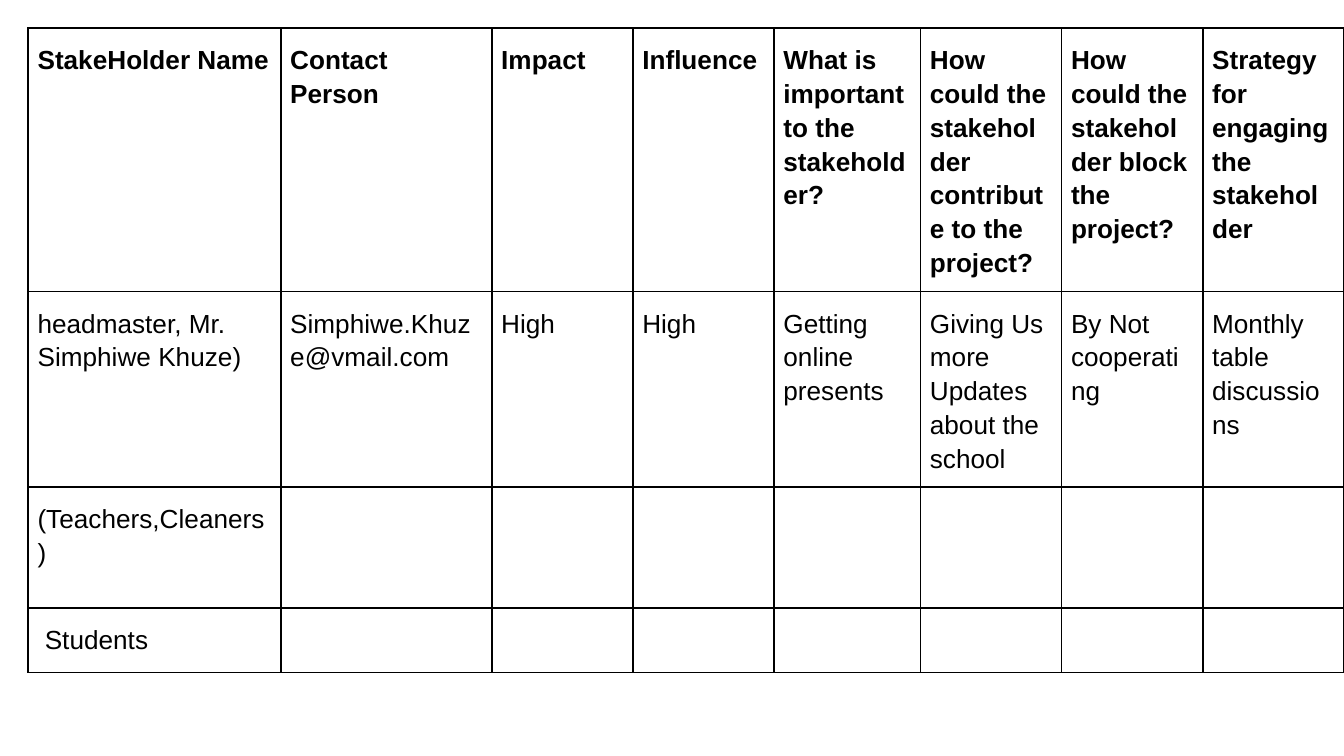
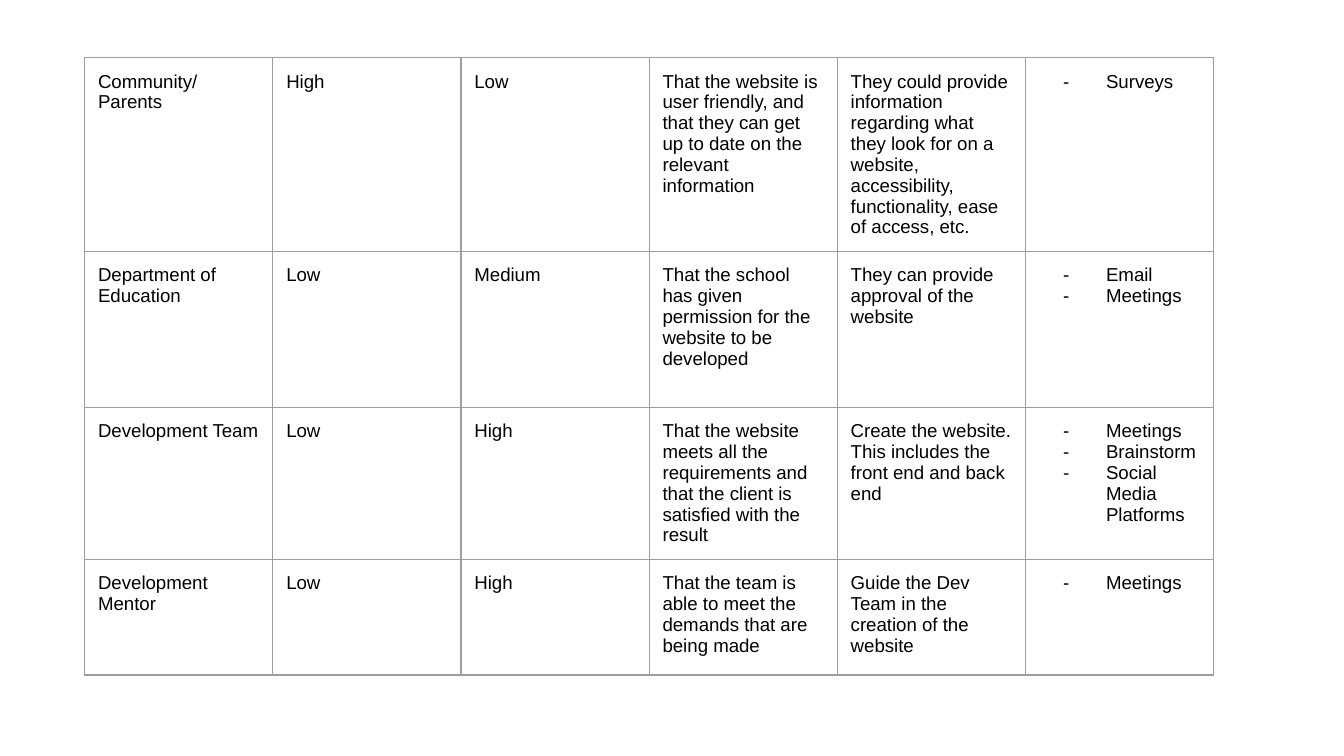
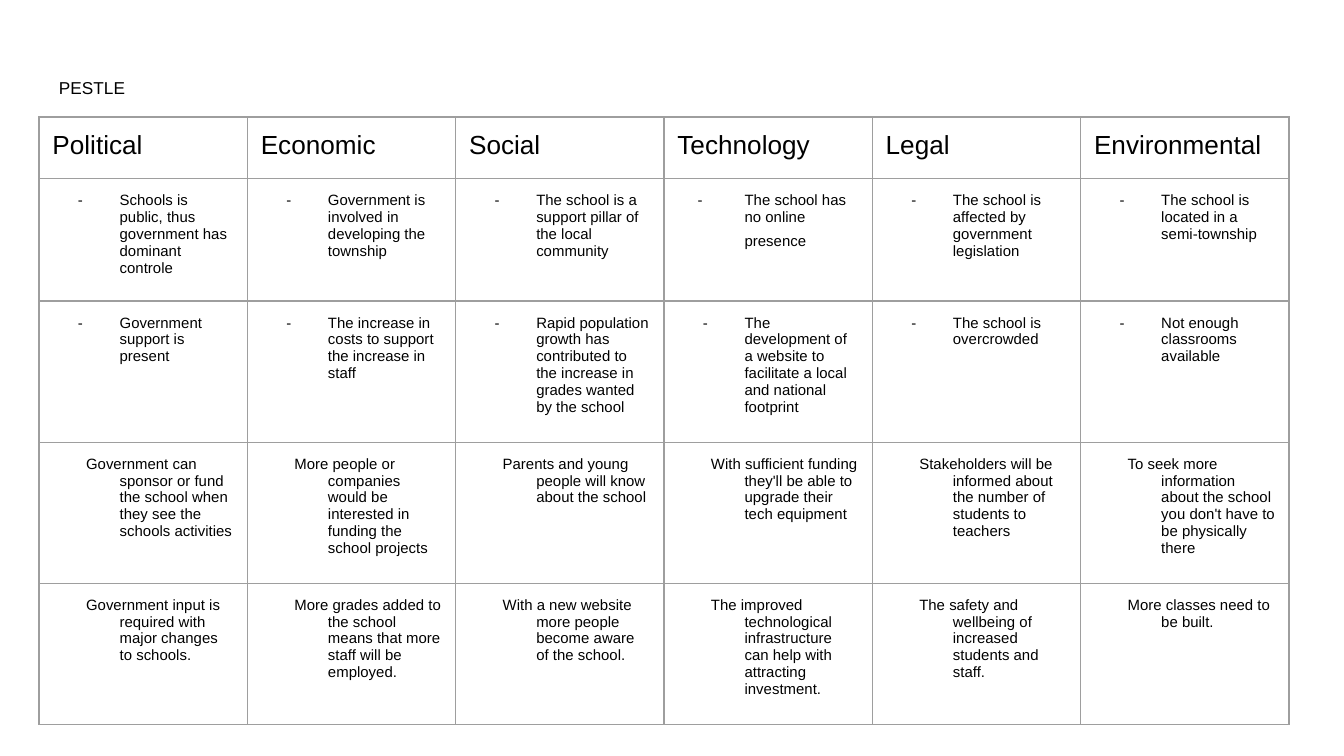
from dataclasses import dataclass
from typing import Callable, Optional

from lxml.etree import SubElement
from pptx import Presentation
from pptx.dml.color import RGBColor
from pptx.oxml.ns import qn
from pptx.table import Table, _Cell
from pptx.util import Inches, Pt

# Shared look
BLACK = RGBColor(0x00, 0x00, 0x00)
GREY = RGBColor(0x9E, 0x9E, 0x9E)
FONT = "Arial"
MARGIN = 0.1
BORDER_SIDES = ("a:lnL", "a:lnR", "a:lnT", "a:lnB")


@dataclass(frozen=True)
class TextStyle:
    size: float
    bold: bool = False
    line_spacing: Optional[float] = None
    space_before: Optional[float] = None
    hanging: float = 0
    bullet: str = ""


@dataclass(frozen=True)
class TableSpec:
    left: float
    top: float
    columns: list[float]
    rows: list[float]
    texts: list[list[str]]
    style_at: Callable[[int, int], TextStyle]
    border_color: RGBColor = GREY
    border_width: float = 0.75
    margin_left: float = MARGIN
    margin_right: float = MARGIN


REGISTER_HEAD = TextStyle(14, bold=True, line_spacing=1.15, space_before=12)
REGISTER_BODY = TextStyle(14, line_spacing=1.15, space_before=12)
PLAIN = TextStyle(10)
STRATEGY = TextStyle(10, hanging=0.32, bullet="-")
PESTLE_TITLE = TextStyle(9.2)
PESTLE_HEAD = TextStyle(14)
PESTLE_BULLET = TextStyle(8, hanging=0.31, bullet="-")
PESTLE_WIDE_BULLET = TextStyle(8, hanging=0.35, bullet="-")
PESTLE_HANGING = TextStyle(8, hanging=0.25)
LIST_INDENT = 0.5
ONLINE_PRESENCE = (1, 3)


def format_run(run, style: TextStyle) -> None:
    run.font.name = FONT
    run.font.size = Pt(style.size)
    run.font.bold = style.bold
    run.font.color.rgb = BLACK


def write_text(text_frame, text: str, style: TextStyle) -> None:
    """Write one paragraph for each line of text."""
    text_frame.text = text
    text_frame.word_wrap = True
    for paragraph in text_frame.paragraphs:
        if style.line_spacing:
            paragraph.line_spacing = style.line_spacing
        if style.space_before:
            paragraph.space_before = Pt(style.space_before)
        if style.hanging:
            properties = paragraph._p.get_or_add_pPr()
            properties.set("marL", str(Inches(LIST_INDENT)))
            properties.set("indent", str(-Inches(style.hanging)))
            if style.bullet:
                color = SubElement(properties, qn("a:buClr"))
                SubElement(color, qn("a:srgbClr"), val=str(BLACK))
                SubElement(properties, qn("a:buFont"), typeface=FONT)
                SubElement(properties, qn("a:buChar"), char=style.bullet)
        for run in paragraph.runs:
            format_run(run, style)


def set_borders(cell: _Cell, color: RGBColor, width: float) -> None:
    properties = cell._tc.get_or_add_tcPr()
    for side in BORDER_SIDES:
        line = SubElement(properties, qn(side), w=str(Pt(width)))
        fill = SubElement(line, qn("a:solidFill"))
        SubElement(fill, qn("a:srgbClr"), val=str(color))


def draw_table(slide, spec: TableSpec) -> Table:
    table = slide.shapes.add_table(
        len(spec.rows), len(spec.columns), Inches(spec.left), Inches(spec.top),
        Inches(sum(spec.columns)), Inches(sum(spec.rows))).table
    table.first_row = table.horz_banding = False
    for column, width in zip(table.columns, spec.columns):
        column.width = Inches(width)
    for row, height in zip(table.rows, spec.rows):
        row.height = Inches(height)
    for i in range(len(spec.rows)):
        for j in range(len(spec.columns)):
            cell = table.cell(i, j)
            set_borders(cell, spec.border_color, spec.border_width)
            cell.fill.background()
            # Rows may list only their leading cells
            if j < len(spec.texts[i]):
                cell.margin_left = Inches(spec.margin_left)
                cell.margin_right = Inches(spec.margin_right)
                cell.margin_top = cell.margin_bottom = Inches(MARGIN)
                write_text(cell.text_frame, spec.texts[i][j], spec.style_at(i, j))
    return table


def pestle_style(row: int, column: int) -> TextStyle:
    if row == 0:
        return PESTLE_HEAD
    if (row, column) == ONLINE_PRESENCE:
        return PESTLE_WIDE_BULLET
    return PESTLE_BULLET if row < 3 else PESTLE_HANGING


# Stakeholder register
REGISTER = TableSpec(
    left=0.21, top=0.21,
    columns=[1.88, 1.57, 1.05, 1.05, 1.09, 1.05, 1.05, 1.05],
    rows=[1.95, 1.45, 0.9, 0.48],
    texts=[
        ["StakeHolder Name", "Contact Person", "Impact", "Influence",
         "What is important to the stakeholder?",
         "How could the stakeholder contribute to the project?",
         "How could the stakeholder block the project?",
         "Strategy for engaging the stakeholder"],
        ["headmaster, Mr. Simphiwe Khuze)", "Simphiwe.Khuze@vmail.com",
         "High", "High", "Getting online presents",
         "Giving Us more Updates about the school",
         "By Not cooperating", "Monthly table discussions"],
        ["(Teachers,Cleaners)"],
        [" Students"],
    ],
    style_at=lambda row, column: REGISTER_BODY if row else REGISTER_HEAD,
    border_color=BLACK, border_width=1, margin_left=0.07, margin_right=0.08)

# Further stakeholders and how to engage them
ENGAGEMENT = TableSpec(
    left=0.63, top=0.43,
    columns=[1.4] * 6,
    rows=[1.44, 1.16, 1.13, 0.86],
    texts=[
        ["Community/Parents", "High", "Low",
         "That the website is user friendly, and that they can get up to date "
         "on the relevant information",
         "They could provide information regarding what they look for on a "
         "website, accessibility, functionality, ease of access, etc.",
         "Surveys"],
        ["Department of Education", "Low", "Medium",
         "That the school has given permission for the website to be developed",
         "They can provide approval of the website",
         "Email\nMeetings"],
        ["Development Team", "Low", "High",
         "That the website meets all the requirements and that the client is "
         "satisfied with the result",
         "Create the website. This includes the front end and back end",
         "Meetings\nBrainstorm\nSocial Media Platforms"],
        ["Development Mentor", "Low", "High",
         "That the team is able to meet the demands that are being made",
         "Guide the Dev Team in the creation of the website",
         "Meetings"],
    ],
    style_at=lambda row, column: STRATEGY if column == 5 else PLAIN)

# PESTLE analysis
PESTLE = TableSpec(
    left=0.29, top=0.87,
    columns=[1.55] * 6,
    rows=[0.46, 0.91] + [1.05] * 3,
    texts=[
        ["Political", "Economic", "Social", "Technology", "Legal", "Environmental"],
        ["Schools is public, thus government has dominant controle",
         "Government is involved in developing the township",
         "The school is a support pillar of the local community",
         "The school has no online presence",
         "The school is affected by government legislation",
         "The school is located in a semi-township"],
        ["Government support is present",
         "The increase in costs to support the increase in staff",
         "Rapid population growth has contributed to the increase in grades "
         "wanted by the school",
         "The development of a website to facilitate a local and national footprint",
         "The school is overcrowded",
         "Not enough classrooms available"],
        ["Government can sponsor or fund the school when they see the schools activities",
         "More people or companies would be interested in funding the school projects",
         "Parents and young people will know about the school",
         "With sufficient funding they'll be able to upgrade their tech equipment",
         "Stakeholders will be informed about the number of students to teachers",
         "To seek more information about the school you don't have to be "
         "physically there"],
        ["Government input is required with major changes to schools.",
         "More grades added to the school means that more staff will be employed.",
         "With a new website more people become aware of the school.",
         "The improved technological infrastructure can help with attracting investment.",
         "The safety and wellbeing of increased students and staff.",
         "More classes need to be built."],
    ],
    style_at=pestle_style)


def add_title(slide, text: str) -> None:
    title = slide.shapes.add_textbox(Inches(0.34), Inches(0.49), Inches(9.32), Inches(0.33))
    frame = title.text_frame
    frame.margin_left = frame.margin_right = frame.margin_bottom = Inches(MARGIN)
    frame.margin_top = Inches(0.12)
    write_text(frame, text, PESTLE_TITLE)


def main() -> None:
    presentation = Presentation()
    presentation.slide_width = Inches(10)
    presentation.slide_height = Inches(10 * 9 / 16)
    blank = presentation.slide_layouts[6]

    for spec in (REGISTER, ENGAGEMENT):
        draw_table(presentation.slides.add_slide(blank), spec)

    pestle_slide = presentation.slides.add_slide(blank)
    add_title(pestle_slide, "PESTLE")
    pestle_table = draw_table(pestle_slide, PESTLE)
    # A larger closing space opens up the last line of this cell
    closing_run = pestle_table.cell(*ONLINE_PRESENCE).text_frame.paragraphs[0].add_run()
    closing_run.text = " "
    format_run(closing_run, TextStyle(12))

    presentation.save("out.pptx")


if __name__ == "__main__":
    main()
